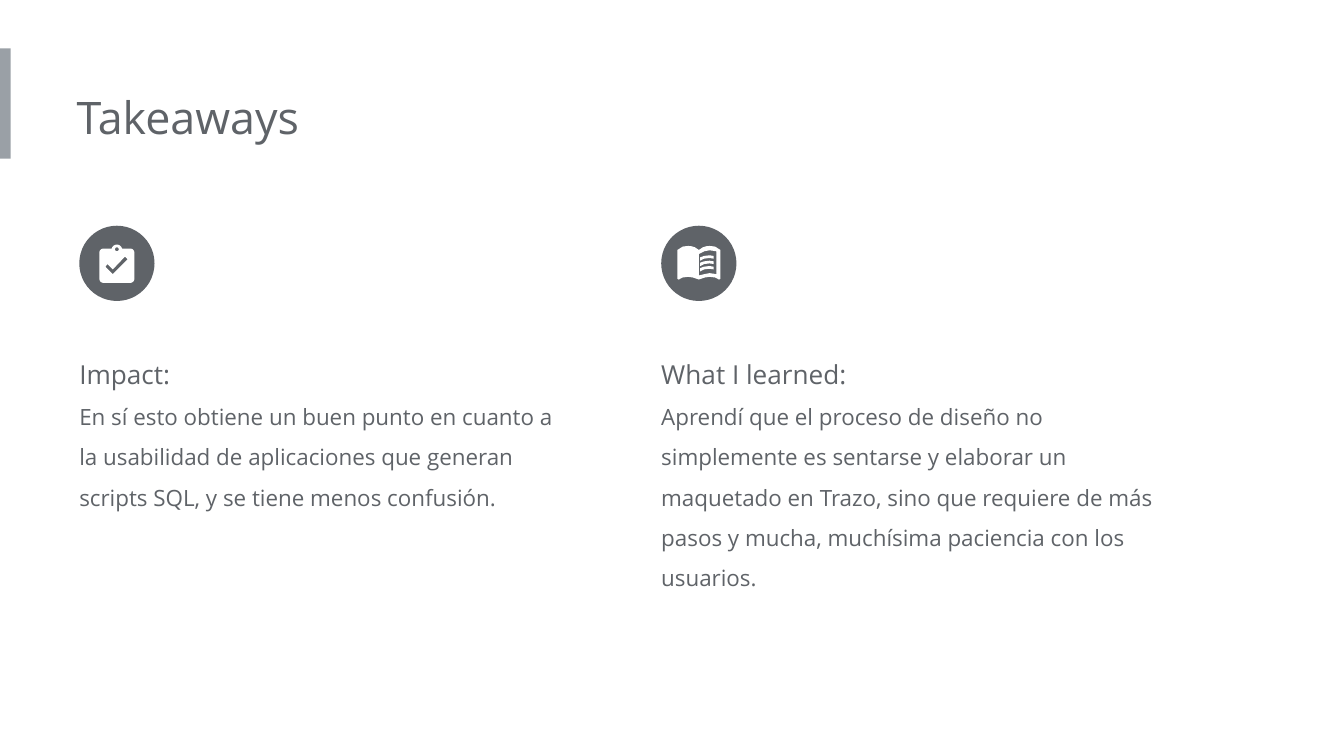
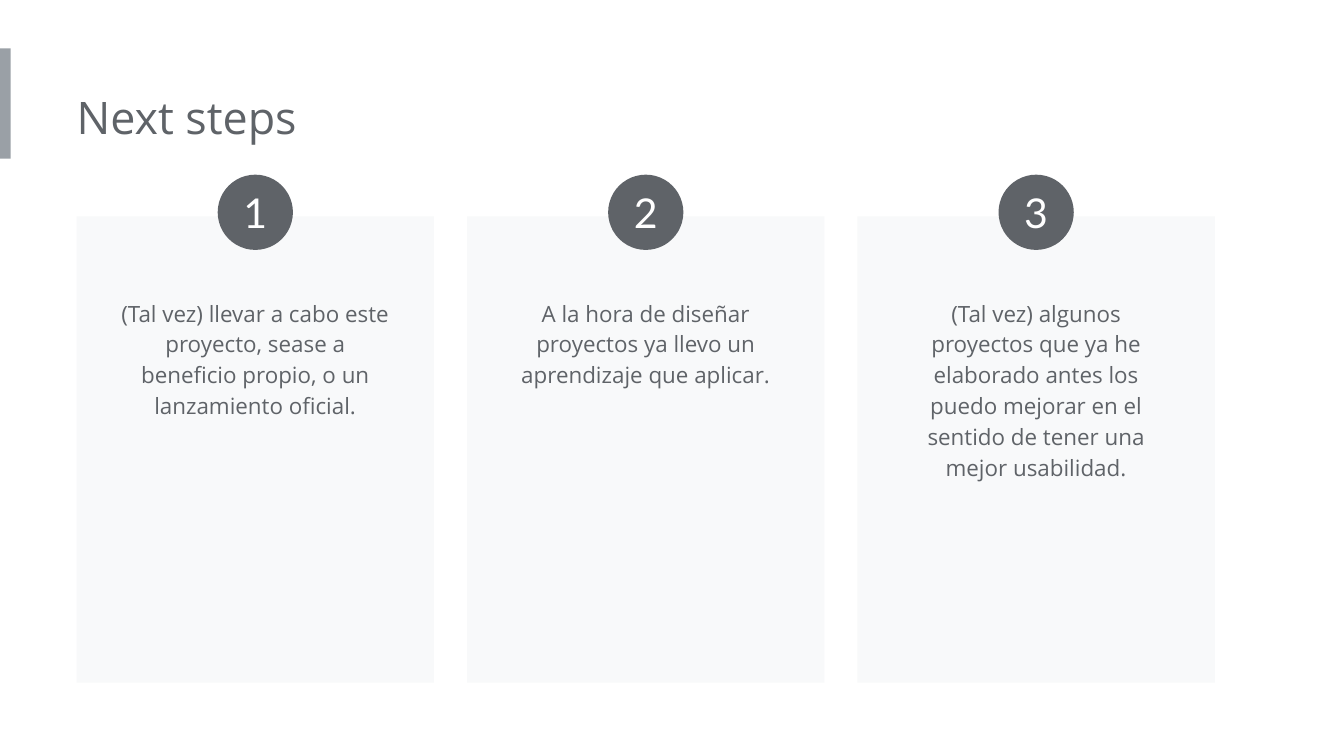
from math import cos, radians, sin

from pptx import Presentation
from pptx.dml.color import RGBColor
from pptx.enum.shapes import MSO_SHAPE
from pptx.enum.text import MSO_ANCHOR, MSO_AUTO_SIZE, PP_ALIGN
from pptx.util import Emu, Pt

INK = RGBColor(0x5F, 0x63, 0x68)
ACCENT = RGBColor(0x9A, 0xA0, 0xA6)
CARD = RGBColor(0xF8, 0xF9, 0xFA)
WHITE = RGBColor(0xFF, 0xFF, 0xFF)

BODY_FONT = "Open Sans"
NUMBER_FONT = "Lato"
EMU_PER_PX = 4572  # 200 px to the inch
BADGE = 112
INSET = 20

TAKEAWAY_STEP = 866
CARD_STEP = 581


def px(value):
    return Emu(round(value * EMU_PER_PX))


def set_margins(frame, left, others):
    margins = {"margin_left": left, "margin_top": others,
               "margin_right": others, "margin_bottom": others}
    for name, value in margins.items():
        setattr(frame, name, px(value))


def paint(shape, color):
    shape.fill.solid()
    shape.fill.fore_color.rgb = color
    shape.line.fill.background()
    shape.shadow.inherit = False
    return shape


def add_block(page, kind, box, color):
    return paint(page.shapes.add_shape(kind, *map(px, box)), color)


def write(para, text, size, font=BODY_FONT, color=INK, **layout):
    for name, value in layout.items():
        setattr(para, name, value)
    span = para.add_run()
    span.text = text
    span.font.color.rgb = color
    for name, value in {"size": Pt(size), "name": font}.items():
        setattr(span.font, name, value)


def add_text(page, box, lines, left_inset=0, **layout):
    """Write (text, size) lines as the paragraphs of one text box."""
    frame = page.shapes.add_textbox(*map(px, box)).text_frame
    frame.word_wrap = True
    frame.auto_size = MSO_AUTO_SIZE.SHAPE_TO_FIT_TEXT
    set_margins(frame, left_inset, INSET)
    for index, (text, size) in enumerate(lines):
        para = frame.add_paragraph() if index else frame.paragraphs[0]
        write(para, text, size, **layout)


def add_page(deck, title):
    page = deck.slides.add_slide(deck.slide_layouts[6])
    add_block(page, MSO_SHAPE.RECTANGLE, (0, 72, 16, 164), ACCENT)
    add_text(page, (114, 114, 1078, 122), [(title, 24)])
    return page


def add_badge(page, left, top):
    return add_block(page, MSO_SHAPE.OVAL, (left, top, BADGE, BADGE), INK)


def arc(x, y, radius, start, end, steps=8):
    """Points of an arc, in degrees clockwise from the right."""
    angles = [radians(start + (end - start) * i / steps) for i in range(steps + 1)]
    return [(x + radius * cos(a), y + radius * sin(a)) for a in angles]


def draw_outline(shapes, left, top, contours):
    """Draw closed contours, given relative to left and top, as one white shape."""
    placed = [[(px(left + x), px(top + y)) for x, y in points] for points in contours]
    builder = shapes.build_freeform(*placed[0][0], scale=1.0)
    builder.add_line_segments(placed[0][1:])
    for points in placed[1:]:
        builder.move_to(*points[0])
        builder.add_line_segments(points[1:])
    paint(builder.convert_to_shape(), WHITE)


def draw_clipboard(page, left, top):
    board = (arc(36, 40, 6, 180, 270) + arc(56, 36, 8, 195, 345)
             + arc(76, 40, 6, 270, 360) + arc(76, 79, 6, 0, 90)
             + arc(36, 79, 6, 90, 180))
    pin = arc(56, 35, 3, 0, 360)
    check = [(50, 72), (39, 61), (42, 57), (50, 65), (68, 46), (72, 50)]
    draw_outline(page.shapes, left, top, [board, pin, check])


def draw_book(page, left, top):
    spine = 56
    half = [(56, 36), (50, 32), (45, 30.5), (40, 30), (32, 31), (24, 36),
            (24, 79), (26, 80), (32, 77), (40, 76), (47, 77), (56, 80)]
    cover = half + [(2 * spine - x, y) for x, y in reversed(half)]
    leaf = [(56, 74), (56, 42), (64, 38), (72, 36.5), (82, 38),
            (82, 72), (72, 70.5), (64, 72)]
    line = [(58, 47), (64, 45), (72, 44), (78, 45),
            (78, 49), (72, 48), (64, 49), (58, 52)]
    shapes = page.shapes.add_group_shape().shapes
    draw_outline(shapes, left, top, [cover, leaf])
    for row in range(3):
        draw_outline(shapes, left, top + 8 * row, [line])


def add_takeaway(page, left, height, draw_icon, heading, text):
    add_text(page, (left, 490, 754, height), [(heading, 14), (text, 12)],
             line_spacing=1.5)
    add_badge(page, left, 336)
    draw_icon(page, left, 336)


def add_step_card(page, left, number, height, text):
    top, width = 322, 532
    add_block(page, MSO_SHAPE.RECTANGLE, (left, top, width, 694), CARD)
    add_text(page, (left + 42, top + 98, width - 84, height), [(text, 12)],
             left_inset=INSET, alignment=PP_ALIGN.CENTER, line_spacing=1.15)
    frame = add_badge(page, left + (width - BADGE) // 2, top - 62).text_frame
    set_margins(frame, 0, 0)
    frame.vertical_anchor = MSO_ANCHOR.MIDDLE
    write(frame.paragraphs[0], str(number), 22, NUMBER_FONT, WHITE,
          alignment=PP_ALIGN.CENTER)


def build_takeaways(deck):
    page = add_page(deck, "Takeaways")
    takeaways = [
        (272, draw_clipboard, "Impact:",
         "En sí esto obtiene un buen punto en cuanto a la usabilidad de "
         "aplicaciones que generan scripts SQL, y se tiene menos confusión."),
        (394, draw_book, "What I learned:",
         "Aprendí que el proceso de diseño no simplemente es sentarse y elaborar "
         "un maquetado en Trazo, sino que requiere de más pasos y mucha, "
         "muchísima paciencia con los usuarios."),
    ]
    for index, takeaway in enumerate(takeaways):
        add_takeaway(page, 118 + index * TAKEAWAY_STEP, *takeaway)


def build_next_steps(deck):
    page = add_page(deck, "Next steps")
    steps = [
        (220, "(Tal vez) llevar a cabo este proyecto, sease a beneficio propio, "
              "o un lanzamiento oficial."),
        (174, "A la hora de diseñar proyectos ya llevo un aprendizaje que aplicar."),
        (314, "(Tal vez) algunos proyectos que ya he elaborado antes los puedo "
              "mejorar en el sentido de tener una mejor usabilidad."),
    ]
    for index, step in enumerate(steps):
        add_step_card(page, 114 + index * CARD_STEP, index + 1, *step)


def main():
    deck = Presentation()
    deck.slide_width, deck.slide_height = px(2000), px(1125)
    build_takeaways(deck)
    build_next_steps(deck)
    deck.save("out.pptx")


if __name__ == "__main__":
    main()
